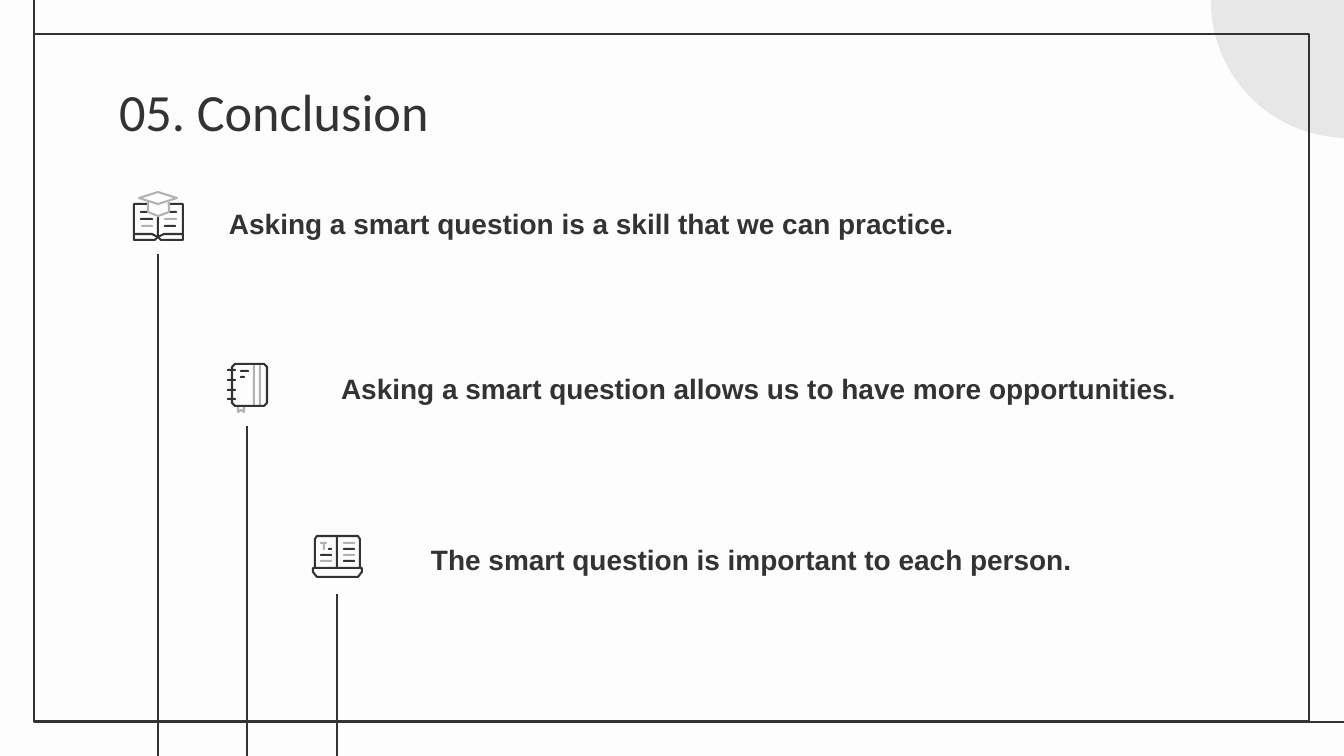
from dataclasses import dataclass

import pptx
import pptx.dml.color
import pptx.enum.shapes
import pptx.enum.text
import pptx.oxml
import pptx.util
from pptx.enum.shapes import MSO_SHAPE

EMU_PER_PX = 914400 / 134.4
SLIDE_WIDTH, SLIDE_HEIGHT = 1344, 756
INSET = 13
FRAME_WEIGHT, ICON_WEIGHT = 1.5, 1.1
COLORS = {"background": "FDFDFD", "ink": "333333", "grey": "B2B2B2", "disc": "E8E7E7"}


@dataclass(frozen=True)
class Bar:
    left: int
    top: int
    width: int
    height: int = 2
    color: str = "ink"


@dataclass(frozen=True)
class Stroke:
    points: tuple[tuple[int, int], ...]
    closed: bool = False
    color: str = "ink"


@dataclass(frozen=True)
class Point:
    """One conclusion: its sentence, its icon and the stem below the icon."""
    sentence: str
    box: tuple[int, int, int, int]
    icon_origin: tuple[int, int]
    icon: tuple[Bar | Stroke, ...]
    stem_x: int
    stem_top: int


BOOK_AND_CAP = (
    Stroke(((15, 13), (1, 13), (1, 49), (22, 49), (25, 46), (28, 49), (50, 49), (50, 13), (35, 13))),
    Stroke(((1, 43), (19, 43), (25, 46), (31, 43), (50, 43))),
    Bar(24, 26, 2, 20),
    Bar(7, 20, 9), Bar(7, 27, 13), Bar(8, 34, 12, color="grey"),
    Bar(35, 20, 9), Bar(31, 27, 13, color="grey"), Bar(31, 34, 12),
    Stroke(((25, 1), (44, 7), (25, 13), (6, 7)), closed=True, color="grey"),
    Stroke(((15, 11), (15, 21), (25, 25), (36, 21), (36, 11)), color="grey"),
)
NOTEBOOK = (
    Bar(26, 2, 2, 41, "grey"), Bar(32, 2, 2, 41, "grey"),
    Stroke(((11, 43), (11, 49), (14, 47), (17, 49), (17, 43)), color="grey"),
    Stroke(((8, 1), (37, 1), (40, 4), (40, 40), (37, 43), (8, 43), (5, 40), (5, 4)), closed=True),
    *(Bar(0, top, 9) for top in (6, 16, 26, 35)),
    Bar(13, 7, 9), Bar(13, 13, 5),
)
LAPTOP = (
    Stroke(((3, 33), (3, 4), (5, 1), (46, 1), (48, 4), (48, 33))),
    Stroke(((1, 33), (50, 33), (50, 37), (46, 42), (5, 42), (1, 37)), closed=True),
    Bar(24, 1, 2, 32),
    Bar(8, 7, 7, color="grey"), Bar(11, 7, 2, 8, "grey"), Bar(16, 13, 4),
    Bar(8, 19, 12), Bar(8, 25, 12, color="grey"),
    *(Bar(31, 7 + 6 * row, 12, color=("grey", "ink")[row % 2]) for row in range(4)),
)
POINTS = (
    Point("Asking a smart question is a skill that we can practice.",
          (216, 190, 948, 63), (133, 191), BOOK_AND_CAP, 158, 254),
    Point("Asking a smart question allows us to have more opportunities.",
          (328, 355, 882, 63), (227, 363), NOTEBOOK, 247, 426),
    Point("The smart question is important to each person.",
          (418, 526, 703, 63), (312, 535), LAPTOP, 337, 594),
)


def px(length: int) -> pptx.util.Emu:
    return pptx.util.Emu(round(length * EMU_PER_PX))


def rgb(color: str) -> pptx.dml.color.RGBColor:
    return pptx.dml.color.RGBColor.from_string(COLORS[color])


def style_shape(shape, fill: str | None = None, line: str | None = None,
                weight: float = FRAME_WEIGHT) -> None:
    shape.shadow.inherit = False
    if fill:
        shape.fill.solid()
        shape.fill.fore_color.rgb = rgb(fill)
    else:
        shape.fill.background()
    if line:
        shape.line.color.rgb = rgb(line)
        shape.line.width = pptx.util.Pt(weight)
    else:
        shape.line.fill.background()


def add_preset(slide, kind: MSO_SHAPE, left: int, top: int, width: int, height: int):
    return slide.shapes.add_shape(kind, px(left), px(top), px(width), px(height))


def add_rule(slide, x1: int, y1: int, x2: int, y2: int) -> None:
    rule = slide.shapes.add_connector(
        pptx.enum.shapes.MSO_CONNECTOR.STRAIGHT, px(x1), px(y1), px(x2), px(y2))
    rule.line.color.rgb = rgb("ink")
    rule.line.width = pptx.util.Pt(FRAME_WEIGHT)
    properties = rule._element.spPr
    properties.append(properties.makeelement(pptx.oxml.ns.qn("a:effectLst"), {}))


def add_icon(slide, origin: tuple[int, int], parts: tuple[Bar | Stroke, ...]) -> None:
    left, top = origin
    for part in parts:
        if isinstance(part, Bar):
            bar = add_preset(slide, MSO_SHAPE.ROUNDED_RECTANGLE,
                             left + part.left, top + part.top, part.width, part.height)
            bar.adjustments[0] = 0.5
            style_shape(bar, fill=part.color)
        else:
            builder = slide.shapes.build_freeform(*part.points[0], scale=EMU_PER_PX)
            builder.add_line_segments(part.points[1:], close=part.closed)
            outline = builder.convert_to_shape(px(left), px(top))
            style_shape(outline, line=part.color, weight=ICON_WEIGHT)


def write_text(shape, text: str, font: str, size: int, bold: bool,
               anchor: pptx.enum.text.MSO_ANCHOR, spacing: float) -> None:
    frame = shape.text_frame
    frame.text = text
    frame.word_wrap = True
    frame.auto_size = pptx.enum.text.MSO_AUTO_SIZE.NONE
    frame.vertical_anchor = anchor
    frame.margin_left = frame.margin_right = px(INSET)
    frame.margin_top = frame.margin_bottom = px(INSET)
    paragraph = frame.paragraphs[0]
    paragraph.alignment = pptx.enum.text.PP_ALIGN.LEFT
    paragraph.line_spacing = spacing
    run_font = paragraph.runs[0].font
    run_font.name, run_font.size, run_font.bold = font, pptx.util.Pt(size), bold
    run_font.color.rgb = rgb("ink")


def add_backdrop(slide) -> None:
    slide.background.fill.solid()
    slide.background.fill.fore_color.rgb = rgb("background")
    style_shape(add_preset(slide, MSO_SHAPE.OVAL, 1211, -136, 274, 274), fill="disc")
    left, top, right, bottom = 34, 34, 1309, 722
    style_shape(add_preset(slide, MSO_SHAPE.RECTANGLE, left, top, right - left, bottom - top),
                line="ink")
    add_rule(slide, left, top, left, 0)
    add_rule(slide, right, bottom, SLIDE_WIDTH, bottom)


def add_point(slide, point: Point) -> None:
    sentence = slide.shapes.add_textbox(*map(px, point.box))
    write_text(sentence, point.sentence, "Arial", 15, True,
               pptx.enum.text.MSO_ANCHOR.BOTTOM, 1.15)
    add_icon(slide, point.icon_origin, point.icon)
    add_rule(slide, point.stem_x, point.stem_top, point.stem_x, SLIDE_HEIGHT)


def main() -> None:
    deck = pptx.Presentation()
    deck.slide_width, deck.slide_height = px(SLIDE_WIDTH), px(SLIDE_HEIGHT)
    slide = deck.slides.add_slide(deck.slide_layouts[5])
    add_backdrop(slide)
    title = slide.shapes.title
    title.left, title.top, title.width, title.height = map(px, (106, 66, 1133, 85))
    write_text(title, "05. Conclusion", "Calibri", 28, False,
               pptx.enum.text.MSO_ANCHOR.TOP, 1.0)
    for point in POINTS:
        add_point(slide, point)
    deck.save("out.pptx")


if __name__ == "__main__":
    main()
